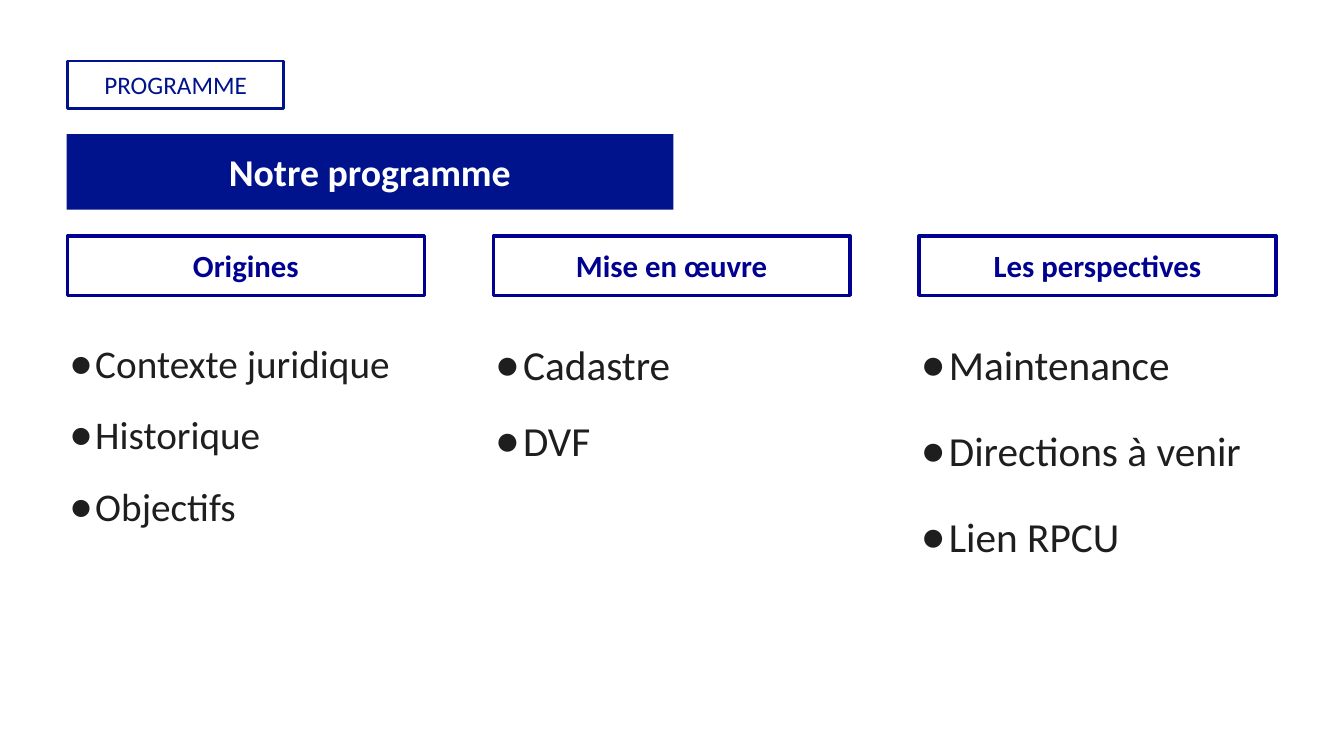
from typing import NamedTuple

from lxml.etree import SubElement
from pptx import Presentation
from pptx.dml.color import RGBColor
from pptx.enum.shapes import MSO_SHAPE
from pptx.enum.text import MSO_ANCHOR, MSO_AUTO_SIZE, PP_ALIGN
from pptx.oxml.ns import qn
from pptx.util import Inches, Pt

FONT = "Calibri"
COLORS = {"navy": "00138D", "blue": "000091", "ink": "1E1E1E", "white": "FFFFFF"}
LEFT, COLUMN_STEP = 1.34, 8.45
HEADING_TOP, LIST_TOP = 4.68, 6.58


class Column(NamedTuple):
    heading: str
    items: tuple[str, ...]
    size: int
    gap: int
    indent: float


COLUMNS = (
    Column("Origines", ("Contexte juridique", "Historique", "Objectifs"), 56, 28, 0.52),
    Column("Mise en œuvre", ("Cadastre", "DVF"), 59, 30, 0.56),
    Column("Les perspectives", ("Maintenance", "Directions à venir", "Lien RPCU"), 59, 45, 0.56),
)


def color(name: str) -> RGBColor:
    return RGBColor.from_string(COLORS[name])


def set_frame(frame, anchor: MSO_ANCHOR) -> None:
    frame.word_wrap = True
    frame.auto_size = MSO_AUTO_SIZE.NONE
    frame.vertical_anchor = anchor
    frame.margin_left = frame.margin_right = Inches(0.06)
    frame.margin_top = frame.margin_bottom = Inches(0.06)


def set_font(para, size: int, ink: str, bold: bool = False) -> None:
    para.font.name = FONT
    para.font.size = Pt(size)
    para.font.bold = bold
    para.font.color.rgb = color(ink)


def write_label(shape, text: str, size: int, ink: str, bold: bool) -> None:
    """Put one centred line of text in a shape."""
    frame = shape.text_frame
    set_frame(frame, MSO_ANCHOR.MIDDLE)
    frame.text = text
    para = frame.paragraphs[0]
    para.alignment = PP_ALIGN.CENTER
    set_font(para, size, ink, bold)


def add_outlined_label(slide, bounds: tuple[float, ...], text: str, size: int,
                       ink: str, line_width: int, bold: bool = False) -> None:
    box = slide.shapes.add_shape(MSO_SHAPE.RECTANGLE, *map(Inches, bounds))
    box.shadow.inherit = False
    box.fill.background()
    box.line.color.rgb = color(ink)
    box.line.width = Pt(line_width)
    write_label(box, text, size, ink, bold)


def add_bullet(para, indent: float) -> None:
    props = para._p.get_or_add_pPr()
    props.set("marL", str(Inches(indent)))
    props.set("indent", str(-Inches(indent)))
    SubElement(SubElement(props, qn("a:buClr")), qn("a:srgbClr"), val=COLORS["ink"])
    SubElement(props, qn("a:buSzPct"), val="123000")
    SubElement(props, qn("a:buFont"), typeface=FONT)
    SubElement(props, qn("a:buChar"), char="•")


def add_list(slide, left: float, column: Column) -> None:
    box = slide.shapes.add_textbox(*map(Inches, (left, LIST_TOP, 7.15, 6.94)))
    frame = box.text_frame
    set_frame(frame, MSO_ANCHOR.TOP)
    for index, item in enumerate(column.items):
        para = frame.add_paragraph() if index else frame.paragraphs[0]
        para.text = item
        add_bullet(para, column.indent)
        para.line_spacing = 1.1
        if index:
            para.space_before = Pt(column.gap)
        set_font(para, column.size, "ink")


def add_title(slide, text: str) -> None:
    title = slide.shapes.title
    title.left, title.top, title.width, title.height = map(Inches, (1.32, 2.66, 12.04, 1.5))
    title.fill.solid()
    title.fill.fore_color.rgb = color("navy")
    write_label(title, text, 54, "white", bold=True)


def main() -> None:
    deck = Presentation()
    deck.slide_width, deck.slide_height = Inches(26.67), Inches(15)
    slide = deck.slides.add_slide(deck.slide_layouts.get_by_name("Title Only"))
    add_title(slide, "Notre programme")
    add_outlined_label(slide, (LEFT, 1.21, 4.29, 0.94), "PROGRAMME", 36, "navy", 4)
    for index, column in enumerate(COLUMNS):
        left = LEFT + index * COLUMN_STEP
        add_outlined_label(slide, (left, HEADING_TOP, 7.08, 1.18), column.heading,
                           44, "blue", 5, bold=True)
        add_list(slide, left - 0.03, column)
    deck.save("out.pptx")


if __name__ == "__main__":
    main()
